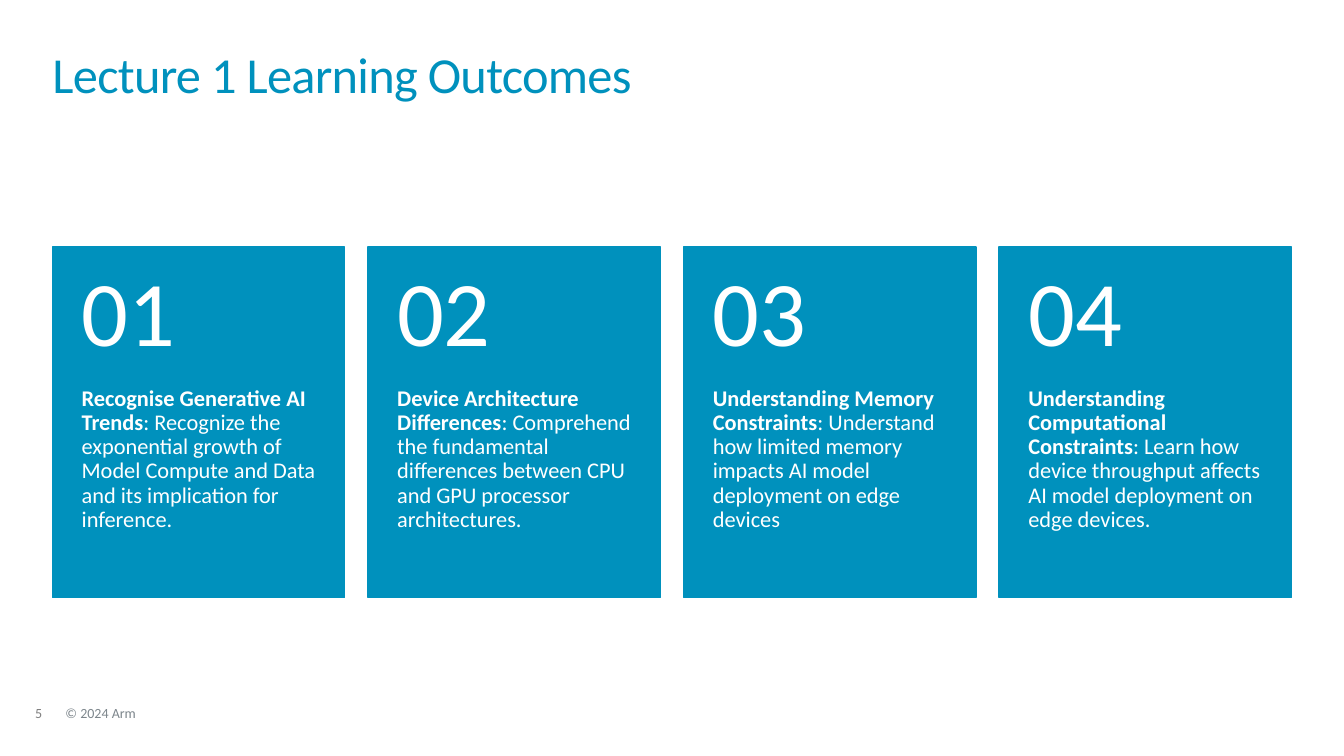
from dataclasses import dataclass

from pptx import Presentation
from pptx.dml.color import RGBColor
from pptx.enum.shapes import MSO_SHAPE
from pptx.enum.text import MSO_ANCHOR
from pptx.util import Emu, Pt

RECTANGLE = MSO_SHAPE.RECTANGLE
TOP, MIDDLE = MSO_ANCHOR.TOP, MSO_ANCHOR.MIDDLE

EMU_PER_PX = 9144
BLANK_LAYOUT = 6

CARD_LEFT, CARD_TOP, CARD_WIDTH, CARD_HEIGHT = 52, 245, 290, 348
CARD_PITCH = 313
NUMBER_HEIGHT = 139

OUTCOMES = [
    ("Recognise Generative AI Trends",
     ": Recognize the exponential growth of Model Compute and Data "
     "and its implication for inference."),
    ("Device Architecture Differences",
     ": Comprehend the fundamental differences between CPU and GPU "
     "processor architectures."),
    ("Understanding Memory Constraints",
     ": Understand how limited memory impacts AI model deployment on edge devices"),
    ("Understanding Computational Constraints",
     ": Learn how device throughput affects AI model deployment on edge devices."),
]


@dataclass(frozen=True)
class Theme:
    font: str = "Calibri"
    accent: RGBColor = RGBColor(0x00, 0x91, 0xBD)
    on_accent: RGBColor = RGBColor(0xFF, 0xFF, 0xFF)
    page_number: RGBColor = RGBColor(0x7F, 0x7F, 0x7F)
    copyright: RGBColor = RGBColor(0x7D, 0x86, 0x8C)
    title_size: int = 36
    number_size: int = 66
    body_size: int = 16
    footer_size: int = 10


THEME = Theme()


def px(length):
    return Emu(length * EMU_PER_PX)


def add_text(shapes, area, spans, size, color, insets=(0, 0, 0, 0),
             anchor=TOP, line_spacing=0.9):
    """Add a one-paragraph text box; spans are (text, bold) pairs."""
    box = shapes.add_textbox(*map(px, area))
    frame = box.text_frame
    frame.word_wrap = True
    frame.vertical_anchor = anchor
    (frame.margin_left, frame.margin_top,
     frame.margin_right, frame.margin_bottom) = map(px, insets)
    para = frame.paragraphs[0]
    para.line_spacing = line_spacing
    para.font.name = THEME.font
    para.font.size = Pt(size)
    para.font.color.rgb = color
    for text, bold in spans:
        span = para.add_run()
        span.text = text
        span.font.name = THEME.font
        span.font.size = Pt(size)
        span.font.color.rgb = color
        span.font.bold = bold
    return para


def add_title(page, text):
    para = add_text(page.shapes, (52, 52, 1228, 56), [(text, False)],
                    THEME.title_size, THEME.accent, line_spacing=0.85)
    for span in para.runs:
        span.font._element.set("spc", "-50")


def add_card(page, index, heading, detail):
    left = CARD_LEFT + index * CARD_PITCH
    card = page.shapes.add_group_shape().shapes
    panel = card.add_shape(RECTANGLE, px(left), px(CARD_TOP),
                           px(CARD_WIDTH), px(CARD_HEIGHT))
    panel.shadow.inherit = False
    panel.fill.solid()
    panel.fill.fore_color.rgb = THEME.accent
    panel.line.color.rgb = THEME.accent
    panel.line.width = Pt(1)

    body_area = (left, CARD_TOP + NUMBER_HEIGHT,
                 CARD_WIDTH, CARD_HEIGHT - NUMBER_HEIGHT)
    add_text(card, body_area, [(heading, True), (detail, False)],
             THEME.body_size, THEME.on_accent, insets=(29, 0, 29, 36))
    add_text(card, (left, CARD_TOP, CARD_WIDTH, NUMBER_HEIGHT),
             [(f"{index + 1:02}", False)], THEME.number_size,
             THEME.on_accent, insets=(29, 18, 29, 18), anchor=MIDDLE)


def add_footer(page):
    add_text(page.shapes, (35, 701, 34, 15), [("5", False)],
             THEME.footer_size, THEME.page_number)
    add_text(page.shapes, (65, 701, 507, 15), [("© 2024 Arm", False)],
             THEME.footer_size, THEME.copyright)


def main():
    deck = Presentation()
    deck.slide_width, deck.slide_height = px(1333), px(750)
    page = deck.slides.add_slide(deck.slide_layouts[BLANK_LAYOUT])
    add_footer(page)
    add_title(page, "Lecture 1 Learning Outcomes")
    for index, (heading, detail) in enumerate(OUTCOMES):
        add_card(page, index, heading, detail)
    deck.save("out.pptx")


if __name__ == "__main__":
    main()
